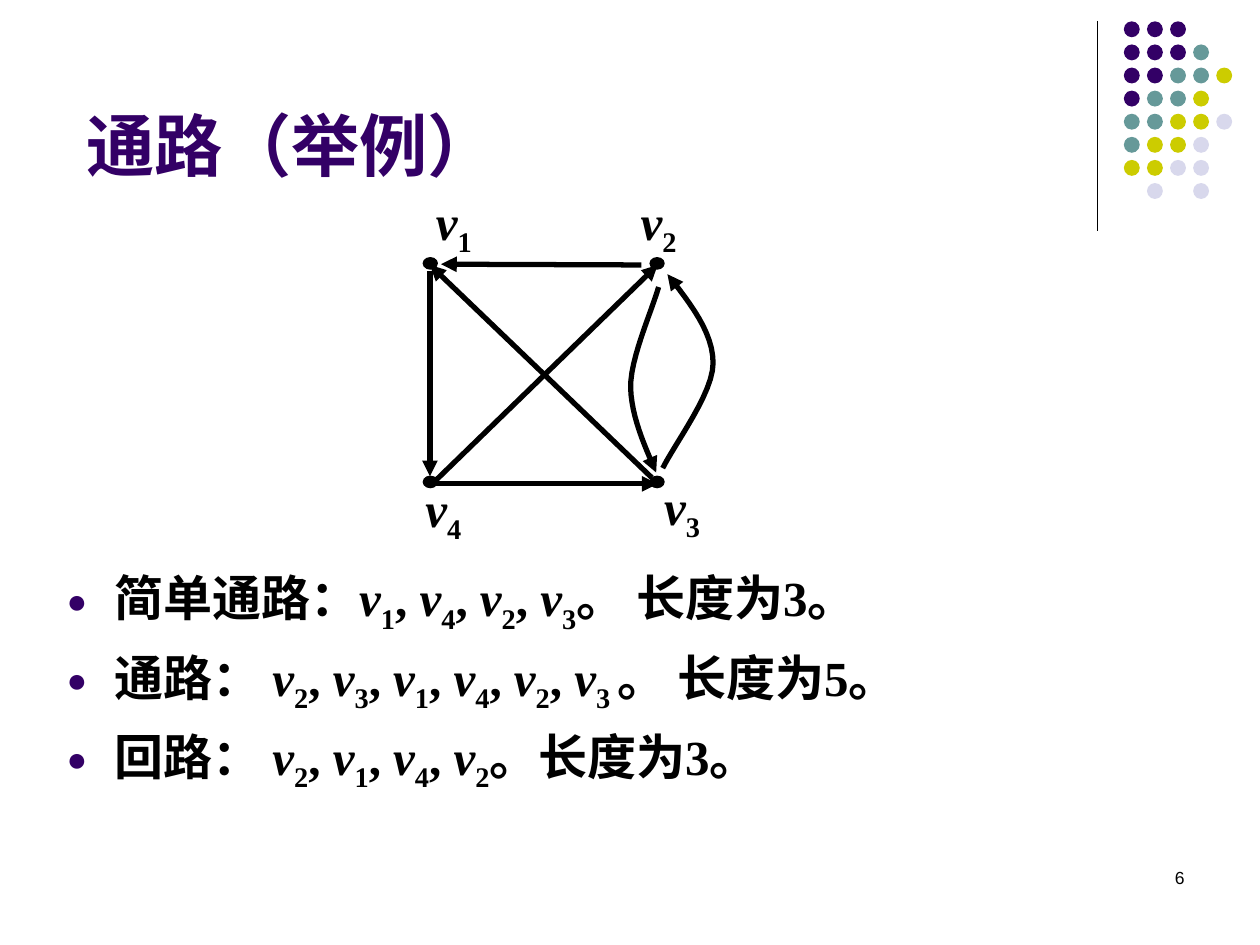
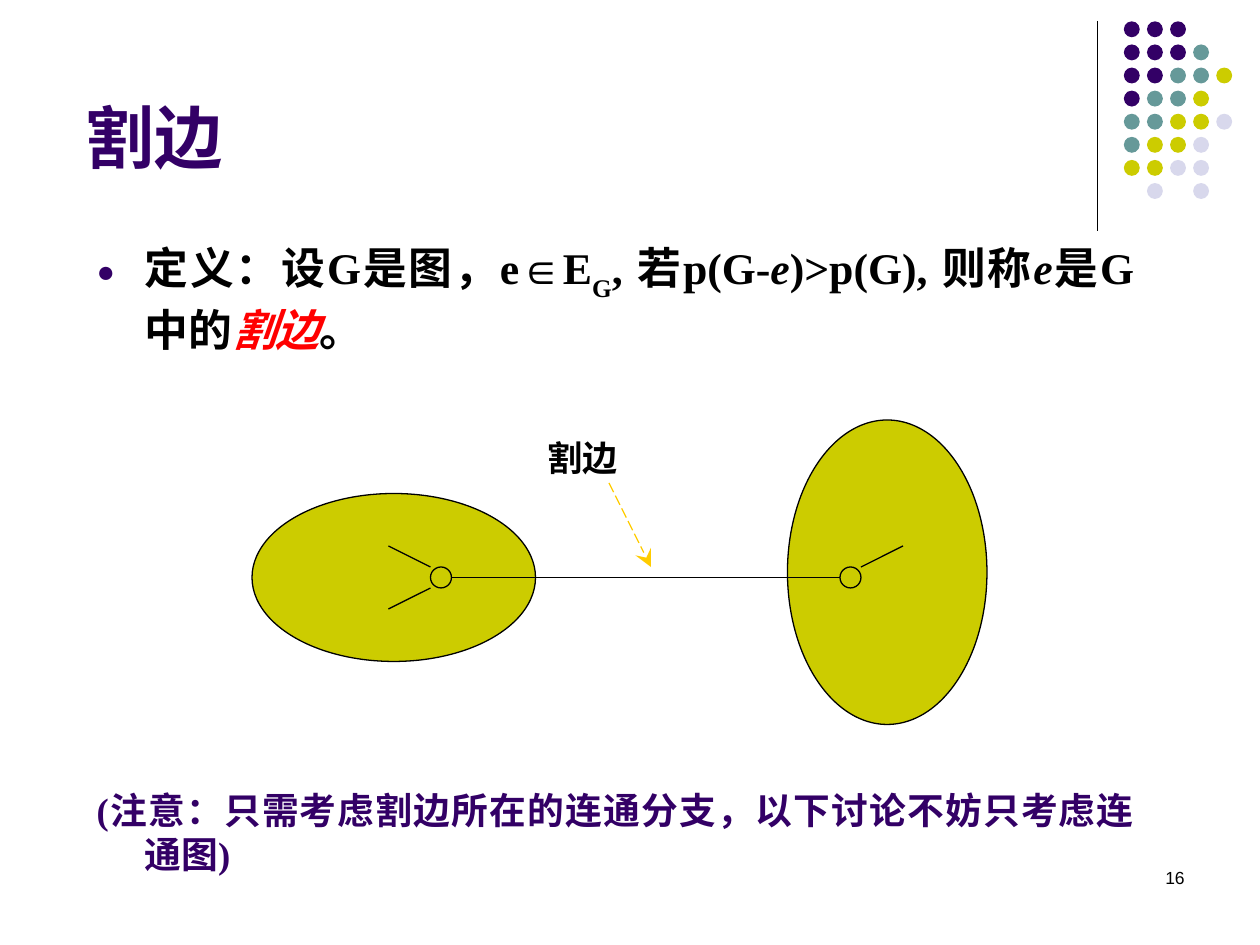
from typing import NamedTuple

from lxml import etree
from pptx import Presentation
from pptx.dml.color import RGBColor
from pptx.enum.dml import MSO_LINE
from pptx.enum.lang import MSO_LANGUAGE_ID
from pptx.enum.shapes import MSO_CONNECTOR, MSO_SHAPE
from pptx.enum.text import MSO_ANCHOR, PP_ALIGN
from pptx.oxml.ns import qn
from pptx.util import Pt

# Shared colours and fonts
PURPLE = RGBColor(0x33, 0x00, 0x66)
TEAL = RGBColor(0x66, 0x99, 0x99)
OLIVE = RGBColor(0xCC, 0xCC, 0x00)
LAVENDER = RGBColor(0xD8, 0xD8, 0xEC)
BLACK = RGBColor(0x00, 0x00, 0x00)
RED = RGBColor(0xFF, 0x00, 0x00)
AMBER = RGBColor(0xFF, 0xCC, 0x00)
SANS, SERIF = "Arial", "Times New Roman"

# Corner ornament: one letter per dot, a space where there is none
DOT_COLOURS = {"P": PURPLE, "T": TEAL, "O": OLIVE, "L": LAVENDER}
DOT_ROWS = ("PPP", "PPPT", "PPTTO", "PTTO", "TTOOL", "TOOL", "OOLL", " L L")
DOT_LEFT, DOT_TOP, DOT_PITCH, DOT_SIZE = 642.2, 12.2, 13.2, 9.1
INDENT = 27.4


class Point(NamedTuple):
    x: float
    y: float


class Box(NamedTuple):
    left: float
    top: float
    width: float
    height: float


class Run(NamedTuple):
    text: str
    italic: bool = False
    drop: int = 0  # subscript offset in percent
    colour: RGBColor | None = None


class Style(NamedTuple):
    size: float
    font: str = SERIF
    colour: RGBColor = BLACK
    bold: bool = True
    align: PP_ALIGN = PP_ALIGN.LEFT
    bullet: bool = False
    hanging: bool = False
    before: float = 0


class Stroke(NamedTuple):
    width: float = 0.75
    colour: RGBColor = BLACK
    arrow: str | None = None
    arrow_size: str = "med"
    dash: MSO_LINE | None = None


class Label(NamedTuple):
    index: str
    corner: Point


THIN = Stroke()
EDGE = Stroke(3, arrow="triangle")


def add_bullet(paragraph) -> None:
    p_pr = paragraph._p.get_or_add_pPr()
    colour = etree.SubElement(p_pr, qn("a:buClr"))
    etree.SubElement(colour, qn("a:srgbClr"), val=str(PURPLE))
    etree.SubElement(p_pr, qn("a:buSzPct"), val="70000")
    etree.SubElement(p_pr, qn("a:buFont"), typeface=SANS)
    etree.SubElement(p_pr, qn("a:buChar"), char="●")


def add_text(slide, box: Box, paragraphs: list[list[Run]], style: Style,
             anchor: MSO_ANCHOR = MSO_ANCHOR.TOP) -> None:
    frame = slide.shapes.add_textbox(*map(Pt, box)).text_frame
    frame.word_wrap = True
    frame.vertical_anchor = anchor
    for number, runs in enumerate(paragraphs):
        paragraph = frame.add_paragraph() if number else frame.paragraphs[0]
        if style.hanging:
            p_pr = paragraph._p.get_or_add_pPr()
            p_pr.set("marL", str(Pt(INDENT)))
            p_pr.set("indent", str(-Pt(INDENT)))
        if style.bullet:
            add_bullet(paragraph)
        if number:
            paragraph.space_before = Pt(style.before)
        paragraph.alignment = style.align
        font = paragraph.font
        font.name, font.size, font.bold = style.font, Pt(style.size), style.bold
        font.color.rgb = style.colour
        font.language_id = MSO_LANGUAGE_ID.SIMPLIFIED_CHINESE
        for part in runs:
            run = paragraph.add_run()
            run.text = part.text
            if part.italic:
                run.font.italic = True
            if part.colour is not None:
                run.font.color.rgb = part.colour
            if part.drop:
                run._r.get_or_add_rPr().set("baseline", str(-1000 * part.drop))


def apply_stroke(line, stroke: Stroke) -> None:
    line.color.rgb = stroke.colour
    line.width = Pt(stroke.width)
    if stroke.dash is not None:
        line.dash_style = stroke.dash
    if stroke.arrow:
        etree.SubElement(line._get_or_add_ln(), qn("a:tailEnd"), type=stroke.arrow,
                         w=stroke.arrow_size, len=stroke.arrow_size)


def add_line(slide, start: Point, end: Point, stroke: Stroke = THIN) -> None:
    connector = slide.shapes.add_connector(
        MSO_CONNECTOR.STRAIGHT, *map(Pt, (*start, *end)))
    apply_stroke(connector.line, stroke)
    etree.SubElement(connector._element.spPr, qn("a:effectLst"))


def add_ellipse(slide, box: Box, fill: RGBColor, stroke: Stroke | None = None) -> None:
    ellipse = slide.shapes.add_shape(MSO_SHAPE.OVAL, *map(Pt, box))
    ellipse.shadow.inherit = False
    ellipse.fill.solid()
    ellipse.fill.fore_color.rgb = fill
    if stroke:
        apply_stroke(ellipse.line, stroke)
    else:
        ellipse.line.fill.background()


def bezier(a: Point, b: Point, c: Point, d: Point, steps: int = 12) -> list[Point]:
    """Points after a, up to and including d."""
    points = []
    for step in range(1, steps + 1):
        t = step / steps
        weights = ((1 - t) ** 3, 3 * t * (1 - t) ** 2, 3 * t * t * (1 - t), t ** 3)
        points.append(Point(*(sum(w * v for w, v in zip(weights, axis))
                              for axis in zip(a, b, c, d))))
    return points


def add_curve(slide, controls: list[Point], stroke: Stroke) -> None:
    points = [controls[0]]
    for first in range(0, len(controls) - 1, 3):
        points += bezier(*controls[first:first + 4])
    builder = slide.shapes.build_freeform(Pt(points[0].x), Pt(points[0].y))
    builder.add_line_segments([(Pt(p.x), Pt(p.y)) for p in points[1:]], close=False)
    curve = builder.convert_to_shape()
    curve.shadow.inherit = False
    curve.fill.background()
    apply_stroke(curve.line, stroke)


def start_slide(deck, title: str, title_box: Box, page: int):
    """Blank slide with the ornament, title and page number."""
    slide = deck.slides.add_slide(deck.slide_layouts[6])
    add_line(slide, Point(627, 12), Point(627, 132))
    for row, dots in enumerate(DOT_ROWS):
        for column, key in enumerate(dots):
            if key in DOT_COLOURS:
                add_ellipse(slide, Box(DOT_LEFT + column * DOT_PITCH,
                                       DOT_TOP + row * DOT_PITCH,
                                       DOT_SIZE, DOT_SIZE), DOT_COLOURS[key])
    add_text(slide, title_box, [[Run(title)]], Style(39, SANS, PURPLE),
             MSO_ANCHOR.BOTTOM)
    add_text(slide, Box(516, 492, 168, 36), [[Run(str(page))]],
             Style(10, SANS, bold=False, align=PP_ALIGN.RIGHT))
    return slide


def vertex_name(index: str) -> list[Run]:
    return [Run("v", italic=True), Run(index, drop=25)]


def walk(name: str, indices: str, ending: str, gap: str = "") -> list[Run]:
    """A named walk such as v1, v4, v2 followed by its length."""
    runs = [Run(name)]
    for position, index in enumerate(indices):
        if position:
            runs.append(Run(", "))
        runs += vertex_name(index)
    runs[-1] = runs[-1]._replace(text=indices[-1] + gap)
    return runs + [Run(ending)]


def build_walks(deck) -> None:
    slide = start_slide(deck, "通路（举例）", Box(42.5, 37.4, 630, 72), 6)
    add_text(slide, Box(31, 321, 648, 153), [
        walk("简单通路：", "1423", "。 长度为3。"),
        walk("通路： ", "231423", "。 长度为5。", gap=" "),
        walk("回路： ", "2142", "。长度为3。"),
    ], Style(28, bullet=True, hanging=True, before=7))

    # Vertices
    for x in (245.9, 375.5):
        for y in (150.5, 275.4):
            add_ellipse(slide, Box(x - 4, y - 3.25, 8, 6.5), BLACK, THIN)
    for label in (Label("1", Point(242, 106)), Label("2", Point(359, 106)),
                  Label("3", Point(372.5, 268.5)), Label("4", Point(236, 270))):
        add_text(slide, Box(*label.corner, 55, 45), [vertex_name(label.index)],
                 Style(28))

    # Straight edges
    for start, end in (
        (Point(366.5, 151.4), Point(252, 151)),
        (Point(372.5, 273), Point(245.7, 151.4)),
        (Point(247.7, 275.8), Point(375.8, 151.4)),
        (Point(245.7, 154.8), Point(245.7, 272.2)),
        (Point(249, 276.5), Point(375.8, 276.5)),
    ):
        add_line(slide, start, end, EDGE)

    # Curved pair between v2 and v3
    add_curve(slide, [
        Point(378.7, 267.5), Point(386.6, 252), Point(407.5, 224.6),
        Point(407.5, 207.4), Point(407.5, 190), Point(394.6, 173.5),
        Point(381.4, 156.7)], EDGE)
    add_curve(slide, [
        Point(376.4, 164), Point(372.2, 178.6), Point(360, 205.2),
        Point(360.4, 221.8), Point(361, 238), Point(368, 254),
        Point(375, 270)], EDGE)


def build_cut_edge(deck) -> None:
    slide = start_slide(deck, "割边", Box(42, 16, 577, 88.6), 16)
    definition = [
        Run("定义：设G是图，e∈E"), Run("G", drop=30), Run(", 若p(G-"),
        Run("e", italic=True), Run(")>p(G), 则称"), Run("e", italic=True),
        Run("是G中的"), Run("割边", italic=True, colour=RED), Run("。"),
    ]
    add_text(slide, Box(48.2, 134, 607, 80), [definition],
             Style(25, align=PP_ALIGN.JUSTIFY, bullet=True, hanging=True))
    note = "(注意：只需考虑割边所在的连通分支，以下讨论不妨只考虑连通图)"
    add_text(slide, Box(48.2, 446.5, 607, 62), [[Run(note)]],
             Style(21, colour=PURPLE, align=PP_ALIGN.JUSTIFY, hanging=True))

    # Two components joined by the cut edge
    add_ellipse(slide, Box(144, 282, 162, 96), OLIVE, THIN)
    add_ellipse(slide, Box(450, 240, 114, 174), OLIVE, THIN)
    add_line(slide, Point(252, 330), Point(480, 330))
    for left in (246, 480):
        add_ellipse(slide, Box(left, 324, 12, 12), OLIVE, THIN)

    # Other edges at the two end vertices
    for start, end in (
        (Point(246, 324), Point(222, 312)),
        (Point(246, 336), Point(222, 348)),
        (Point(492, 324), Point(516, 312)),
    ):
        add_line(slide, start, end)

    # Label pointing at the cut edge
    add_text(slide, Box(306, 246, 108, 32), [[Run("割边")]], Style(20))
    add_line(slide, Point(348, 276), Point(372, 324),
             Stroke(colour=AMBER, arrow="stealth", arrow_size="lg",
                    dash=MSO_LINE.LONG_DASH))


def main() -> None:
    deck = Presentation()
    deck.slide_width, deck.slide_height = Pt(720), Pt(540)
    build_walks(deck)
    build_cut_edge(deck)
    deck.save("out.pptx")


if __name__ == "__main__":
    main()
